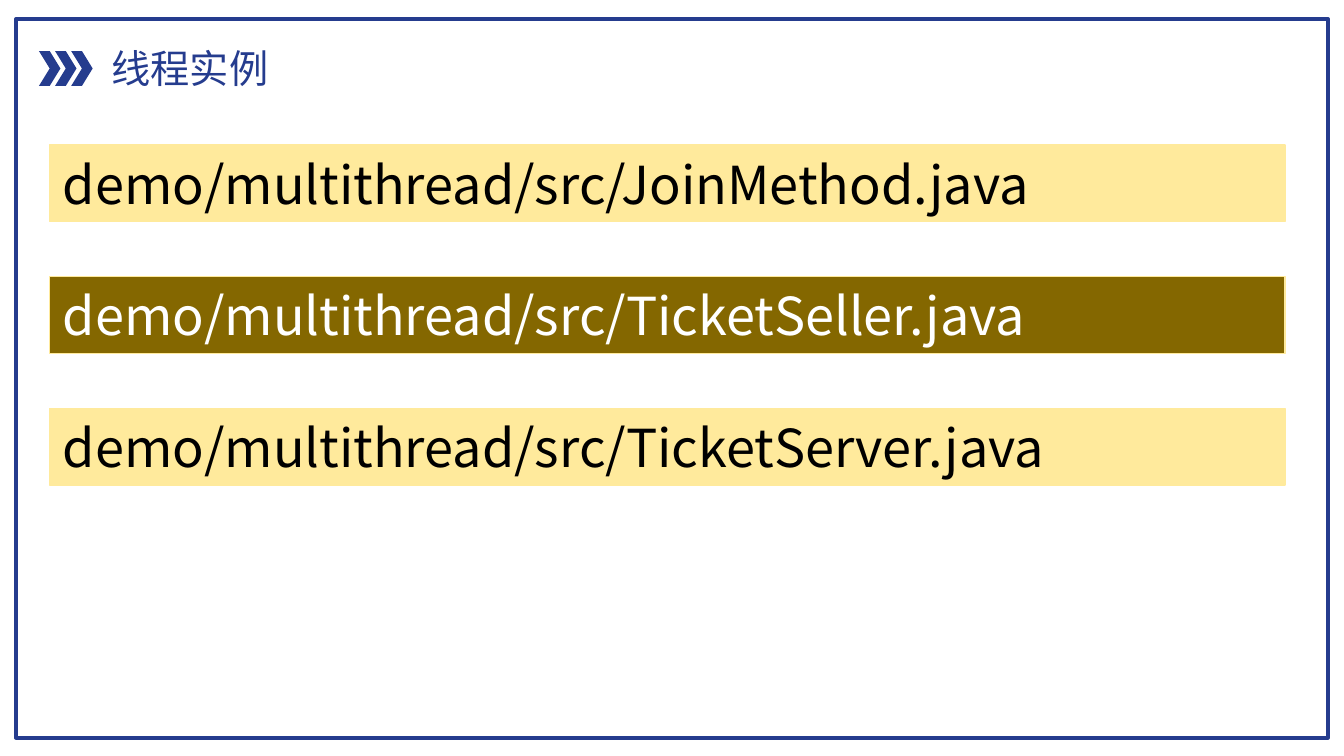
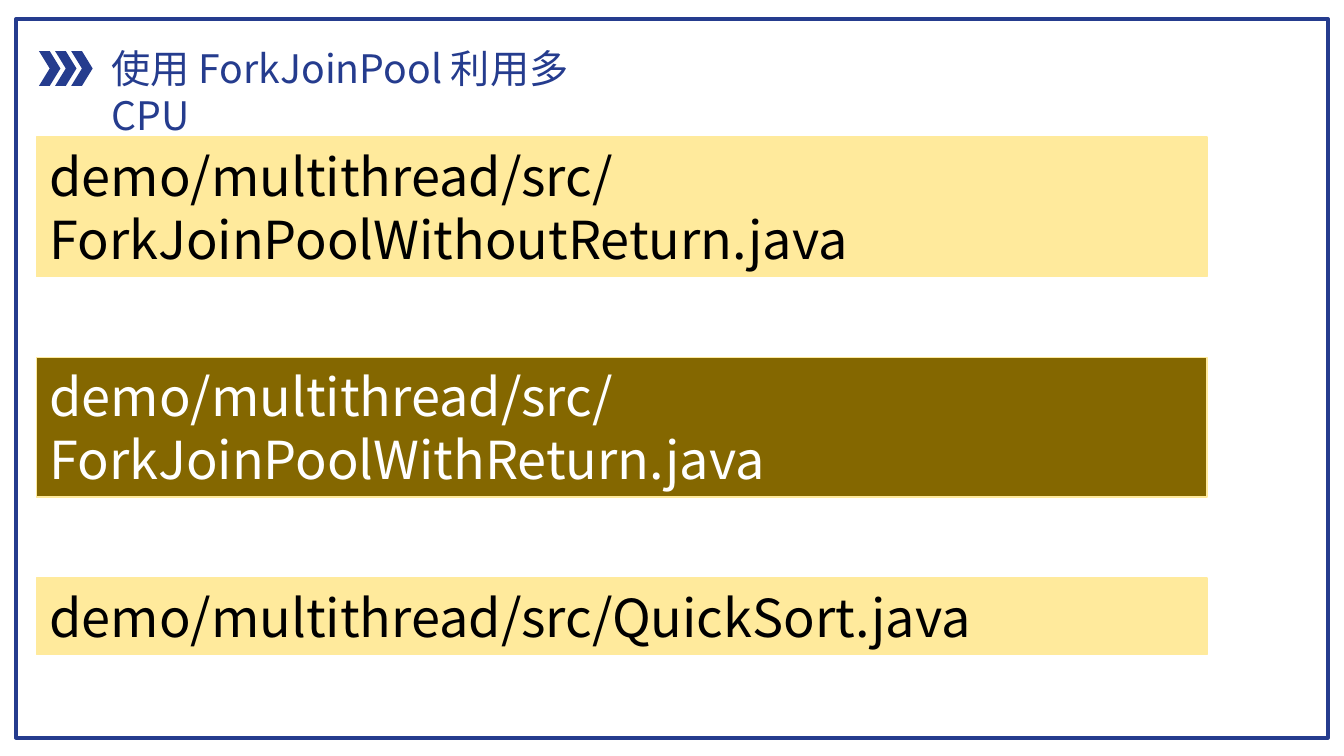
"""Build two slides that list the demo files for Java threads and ForkJoinPool."""
from dataclasses import dataclass

from pptx import Presentation
from pptx.dml.color import RGBColor
from pptx.enum.shapes import MSO_SHAPE as Preset
from pptx.enum.text import MSO_ANCHOR as Anchor, MSO_AUTO_SIZE as AutoSize, PP_ALIGN as Align
from pptx.oxml.ns import qn
from pptx.util import Inches, Pt

FOLDER = "demo/multithread/src/"
SLIDES = [
    {
        "title": "线程实例",
        "left": 0.37, "top": 1.08, "width": 9.19, "gap": 0.41,
        "files": [("JoinMethod.java", 1), ("TicketSeller.java", 1), ("TicketServer.java", 1)],
    },
    {
        "title": "使用 ForkJoinPool 利用多CPU",
        "left": 0.27, "top": 1.02, "width": 8.71, "gap": 0.6,
        "files": [
            ("ForkJoinPoolWithoutReturn.java", 2),
            ("ForkJoinPoolWithReturn.java", 2),
            ("QuickSort.java", 1),
        ],
    },
]


@dataclass(frozen=True)
class Theme:
    font: str = "Noto Sans CJK SC"
    blue: str = "253C8E"
    pale: str = "FFEA9C"
    dark: str = "846700"
    black: str = "000000"
    white: str = "FFFFFF"
    title_size: int = 21
    file_size: int = 28
    line_height: float = 0.47
    padding: float = 0.1


THEME = Theme()
BAR_STYLES = [(THEME.pale, THEME.black), (THEME.dark, THEME.white)]


def write(shape, text, *, size, color, anchor):
    frame = shape.text_frame
    frame.word_wrap = True
    frame.auto_size = AutoSize.NONE
    frame.vertical_anchor = anchor
    paragraph = frame.paragraphs[0]
    paragraph.alignment = Align.LEFT
    run = paragraph.add_run()
    run.text = text
    run.font.name = THEME.font
    run.font.size = Pt(size)
    run.font.color.rgb = RGBColor.from_string(color)
    properties = run.font._element
    properties.find(qn("a:latin")).addnext(
        properties.makeelement(qn("a:ea"), {"typeface": THEME.font})
    )


def add_block(slide, preset, box, *, fill=None, line=None, line_width=0.75):
    shape = slide.shapes.add_shape(preset, *map(Inches, box))
    shape.shadow.inherit = False
    if fill:
        shape.fill.solid()
        shape.fill.fore_color.rgb = RGBColor.from_string(fill)
    else:
        shape.fill.background()
    if line:
        shape.line.color.rgb = RGBColor.from_string(line)
        shape.line.width = Pt(line_width)
    else:
        shape.line.fill.background()
    return shape


def add_header(slide, text):
    add_block(slide, Preset.RECTANGLE, (0.12, 0.14, 9.76, 5.35), line=THEME.blue, line_width=2)
    for index in range(3):
        box = (0.29 + 0.12 * index, 0.38, 0.16, 0.26)
        add_block(slide, Preset.CHEVRON, box, fill=THEME.blue)
    title = slide.shapes.title
    title.left, title.top, title.width, title.height = map(Inches, (0.73, 0.28, 4.1, 0.45))
    write(title, text, size=THEME.title_size, color=THEME.blue, anchor=Anchor.TOP)


def add_files(slide, content):
    top = content["top"]
    for index, (name, lines) in enumerate(content["files"]):
        fill, color = BAR_STYLES[index % 2]
        height = lines * THEME.line_height + THEME.padding
        box = (content["left"], top, content["width"], height)
        bar = add_block(slide, Preset.RECTANGLE, box, fill=fill, line=THEME.pale)
        write(bar, FOLDER + name, size=THEME.file_size, color=color, anchor=Anchor.MIDDLE)
        top += height + content["gap"]


def main():
    presentation = Presentation()
    presentation.slide_width = Inches(10)
    presentation.slide_height = presentation.slide_width * 9 // 16
    layout = presentation.slide_layouts.get_by_name("Title Only")
    for content in SLIDES:
        slide = presentation.slides.add_slide(layout)
        add_header(slide, content["title"])
        add_files(slide, content)
    presentation.save("out.pptx")


if __name__ == "__main__":
    main()
